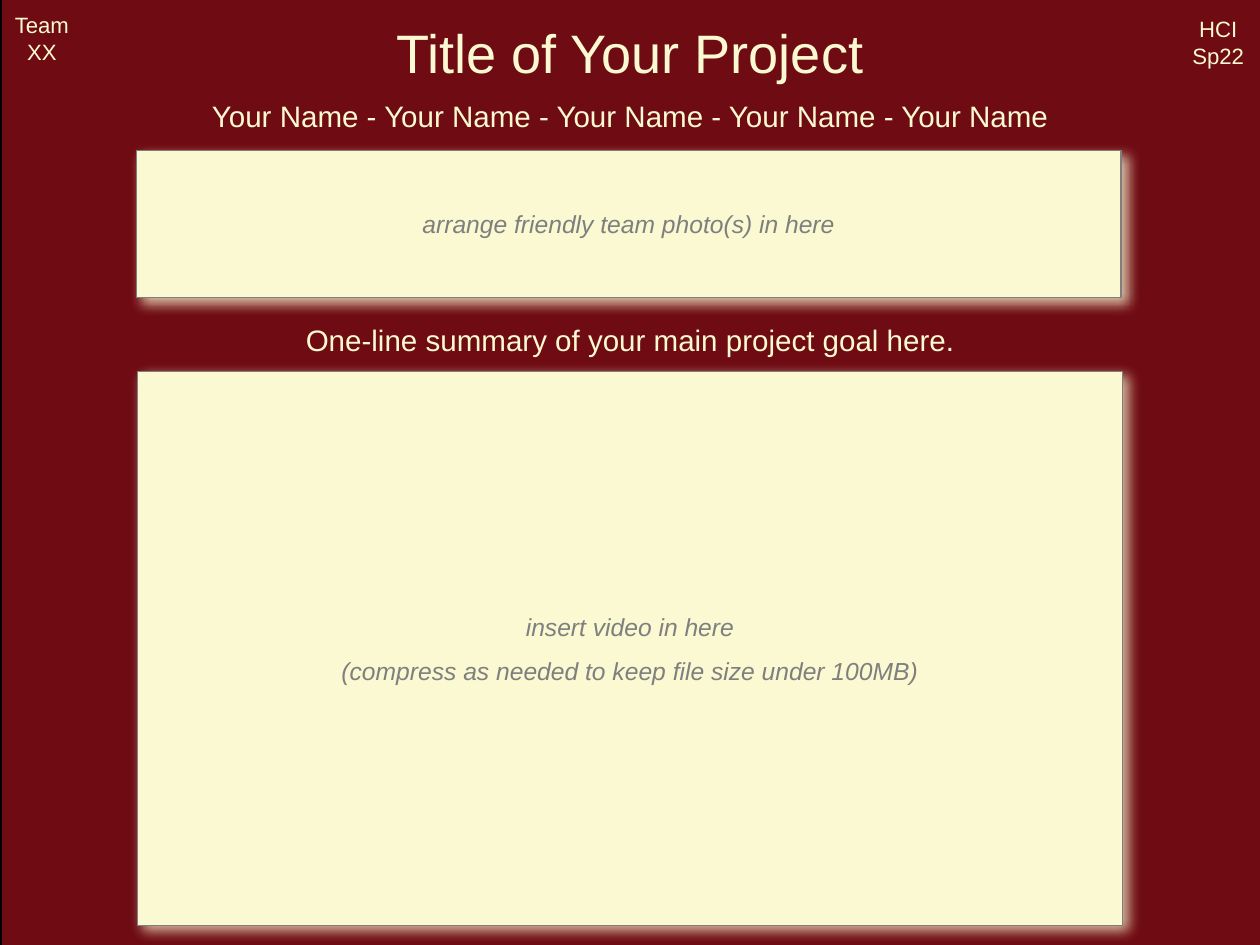
from lxml.etree import SubElement
from pptx import Presentation
from pptx.dml.color import RGBColor
from pptx.enum.shapes import MSO_SHAPE
from pptx.enum.text import MSO_ANCHOR, PP_ALIGN
from pptx.oxml.ns import qn
from pptx.util import Pt

CREAM, MAROON, GRAY, BLACK = "FAF9D1", "6F0B13", "7F7F7F", "000000"


def color(code):
    return RGBColor.from_string(code)


class Poster:
    font = "Arial"

    def __init__(self, slide):
        self.slide = slide

    def letter(self, shape, lines, size, ink=CREAM, gap=0, inset=0,
               anchor=MSO_ANCHOR.MIDDLE, italic=False):
        frame = shape.text_frame
        sides = {f"margin_{side}": Pt(inset)
                 for side in ("left", "top", "right", "bottom")}
        look = {"word_wrap": True, "vertical_anchor": anchor, **sides}
        for name, value in look.items():
            setattr(frame, name, value)
        frame.text = "\n".join(lines)
        for para in frame.paragraphs:
            para.alignment = PP_ALIGN.CENTER
            para.space_before = Pt(gap)
            face = {"name": self.font, "size": Pt(size), "italic": italic}
            for run in para.runs:
                for name, value in face.items():
                    setattr(run.font, name, value)
                run.font.color.rgb = color(ink)

    def label(self, box, text, size, **style):
        shape = self.slide.shapes.add_textbox(*map(Pt, box))
        self.letter(shape, [text], size, **style)

    def block(self, box, fill, edge, width):
        shape = self.slide.shapes.add_shape(MSO_SHAPE.RECTANGLE, *map(Pt, box))
        shape.shadow.inherit = False
        shape.fill.solid()
        shape.fill.fore_color.rgb = color(fill)
        shape.line.color.rgb = color(edge)
        shape.line.width = Pt(width)
        return shape

    def glow(self, shape):
        effects = shape.element.spPr.find(qn("a:effectLst"))
        cast = SubElement(effects, qn("a:outerShdw"), blurRad=str(Pt(10)),
                          dist=str(Pt(6)), dir=str(45 * 60000),
                          algn="ctr", rotWithShape="0")
        tint = SubElement(cast, qn("a:srgbClr"), val=CREAM)
        SubElement(tint, qn("a:alpha"), val="75000")

    def panel(self, box, lines):
        shape = self.block(box, CREAM, GRAY, 1)
        self.glow(shape)
        self.letter(shape, lines, 20, ink=GRAY, gap=12, italic=True)


deck = Presentation()
deck.slide_width, deck.slide_height = Pt(1024), Pt(768)
poster = Poster(deck.slides.add_slide(deck.slide_layouts[6]))

# Backdrop
poster.block((1, -2, 1024, 772), MAROON, BLACK, 2)

# Title
poster.label((112, 10, 800, 64), "Title of Your Project", 44, inset=4)

# Summary and team names
line = {"gap": 12, "anchor": MSO_ANCHOR.TOP}
poster.label((112, 262, 800, 36),
             "One-line summary of your main project goal here.", 24, **line)
poster.label((22, 80, 980, 36), " - ".join(["Your Name"] * 5), 24, **line)

# Video and photo panels
poster.panel((112, 302, 800, 450), [
    "insert video in here",
    "(compress as needed to keep file size under 100MB)"])
poster.panel((111, 122, 800, 120), ["arrange friendly team photo(s) in here"])

# Corner labels
for left, top, text in ((4, 1, "Team XX"), (960, 4, "HCI Sp22")):
    poster.label((left, top, 60, 60), text, 18)

deck.save("out.pptx")
